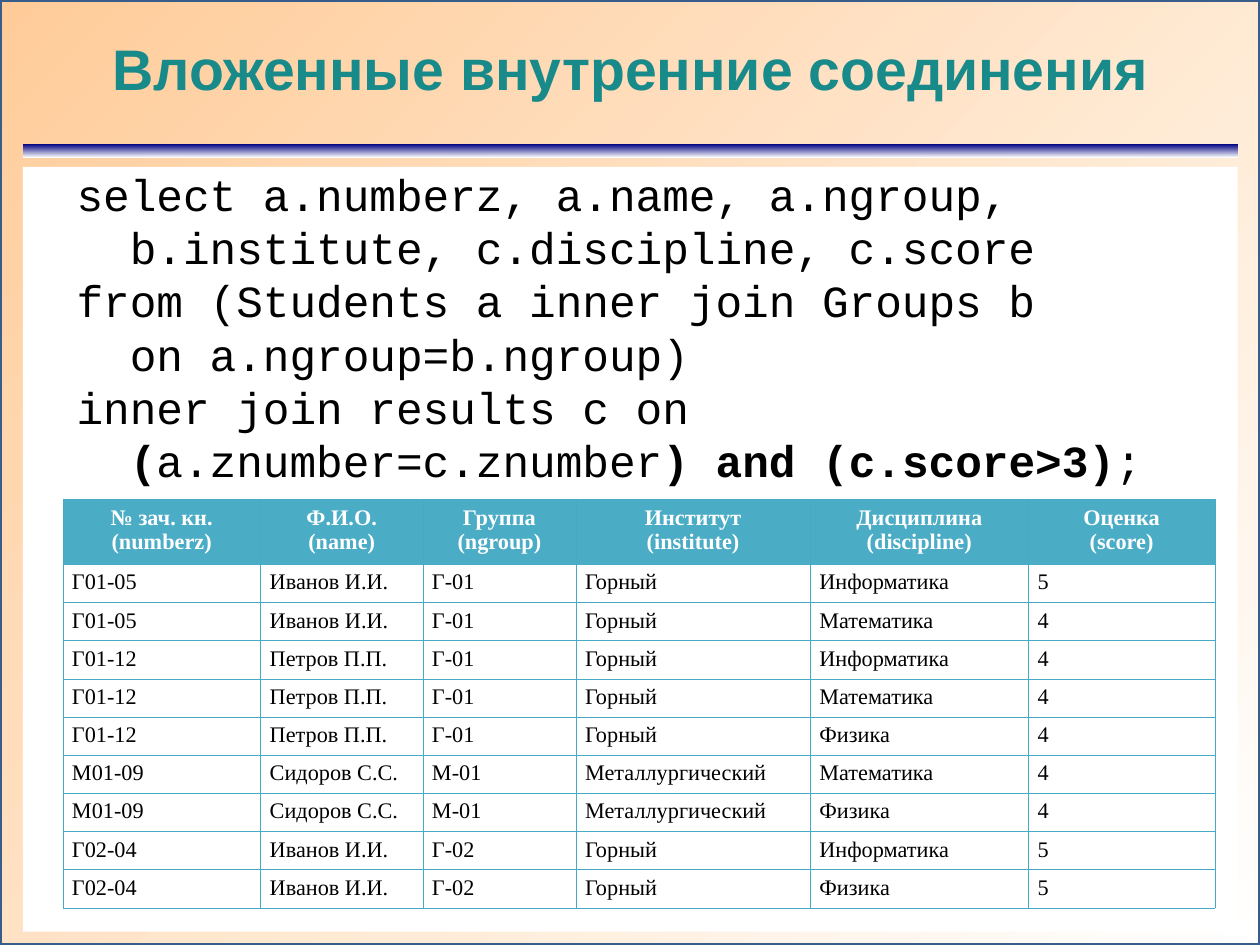
import copy

import pptx
import pptx.dml.color
import pptx.enum.shapes
import pptx.enum.text
import pptx.oxml
import pptx.oxml.ns
import pptx.util

Inches, Pt = pptx.util.Inches, pptx.util.Pt
ALIGN = pptx.enum.text.PP_ALIGN
ANCHOR = pptx.enum.text.MSO_ANCHOR

TITLE = "Вложенные внутренние соединения"
# Each paragraph is a list of (text, bold) pieces.
QUERY = [
    [("select a.numberz, a.name, a.ngroup,\n"
      "  b.institute, c.discipline, c.score\n"
      "from (Students a inner join Groups b\n"
      "  on a.ngroup=b.ngroup)", False)],
    [("inner join results c on\n  ", False), ("(", True),
     ("a.znumber=c.znumber", False), (") and (c.score>3)", True), (";", False)],
]
HEADERS = ["№ зач. кн.\n(numberz)", "Ф.И.О.\n(name)", "Группа\n(ngroup)",
           "Институт\n(institute)", "Дисциплина\n(discipline)", "Оценка\n(score)"]
RESULTS = [
    ("Г01-05", "Иванов И.И.", "Г-01", "Горный", "Информатика", "5"),
    ("Г01-05", "Иванов И.И.", "Г-01", "Горный", "Математика", "4"),
    ("Г01-12", "Петров П.П.", "Г-01", "Горный", "Информатика", "4"),
    ("Г01-12", "Петров П.П.", "Г-01", "Горный", "Математика", "4"),
    ("Г01-12", "Петров П.П.", "Г-01", "Горный", "Физика", "4"),
    ("М01-09", "Сидоров С.С.", "М-01", "Металлургический", "Математика", "4"),
    ("М01-09", "Сидоров С.С.", "М-01", "Металлургический", "Физика", "4"),
    ("Г02-04", "Иванов И.И.", "Г-02", "Горный", "Информатика", "5"),
    ("Г02-04", "Иванов И.И.", "Г-02", "Горный", "Физика", "5"),
]
COLUMN_WIDTHS = [1.73, 1.42, 1.34, 2.05, 1.91, 1.63]
INSTITUTE = 3
# Rows grow to fit their text and cell margins.
HEADER_HEIGHT, ROW_HEIGHT = 0.47, 0.23
SLIDE_WIDTH, SLIDE_HEIGHT = Pt(793.75), Pt(595.25)
MARGIN, INNER_WIDTH = 0.2, 10.63


def rgb(code):
    return pptx.dml.color.RGBColor.from_string(code)


def write(para, text, font="Times New Roman", size=14, color="000000",
          bold=False, align=None):
    """Append text to a paragraph, turning newlines into formatted line breaks."""
    if align is not None:
        para.alignment = align
    for index, line in enumerate(text.split("\n")):
        if index:
            para.add_line_break()
        span = para.add_run()
        span.text = line
        span.font.name, span.font.size, span.font.bold = font, Pt(size), bold
        span.font.color.rgb = rgb(color)
        if index:
            line_break = span._r.getprevious()
            line_break.append(copy.deepcopy(span._r.rPr))


def set_frame(frame, anchor):
    frame.word_wrap = True
    frame.vertical_anchor = anchor
    frame.margin_left = frame.margin_right = 0
    frame.margin_top = frame.margin_bottom = 0


def add_panel(page, left, top, width, height, colors, angle=0, line=None):
    """Add a rectangle with one solid colour or a two-colour gradient."""
    panel = page.shapes.add_shape(
        pptx.enum.shapes.MSO_SHAPE.RECTANGLE, left, top, width, height)
    panel.shadow.inherit = False
    if len(colors) == 1:
        panel.fill.solid()
        panel.fill.fore_color.rgb = rgb(colors[0])
    else:
        panel.fill.gradient()
        panel.fill.gradient_angle = angle
        for stop, color in zip(panel.fill.gradient_stops, colors):
            stop.color.rgb = rgb(color)
    if line:
        panel.line.color.rgb = rgb(line)
        panel.line.width = Pt(2)
    else:
        panel.line.fill.background()
    return panel


def style_cell(cell, fill):
    cell.margin_left = cell.margin_right = Inches(0.08)
    cell.margin_top = cell.margin_bottom = Inches(0.05)
    properties = cell._tc.get_or_add_tcPr()
    for side in ("lnL", "lnR", "lnT", "lnB"):
        properties.append(pptx.oxml.parse_xml(
            f'<a:{side} {pptx.oxml.ns.nsdecls("a")} w="{Pt(0.34)}"><a:solidFill>'
            f'<a:srgbClr val="46AAC5"/></a:solidFill></a:{side}>'))
    cell.fill.solid()
    cell.fill.fore_color.rgb = rgb(fill)


def add_query(page):
    box = add_panel(page, Inches(MARGIN), Inches(1.46), Inches(INNER_WIDTH),
                    Inches(6.69), ["FFFFFF"])
    frame = box.text_frame
    set_frame(frame, ANCHOR.TOP)
    for index, pieces in enumerate(QUERY):
        para = frame.add_paragraph() if index else frame.paragraphs[0]
        para._p.get_or_add_pPr().set("marL", str(Inches(0.47)))
        para.line_spacing = Pt(33.6)
        for text, bold in pieces:
            write(para, text, font="Courier New", size=28, bold=bold, align=ALIGN.LEFT)


def add_results(page):
    height = HEADER_HEIGHT + ROW_HEIGHT * len(RESULTS)
    table = page.shapes.add_table(
        len(RESULTS) + 1, len(HEADERS), Inches(0.55), Inches(4.37),
        Inches(sum(COLUMN_WIDTHS)), Inches(height)).table
    for column, width in zip(table.columns, COLUMN_WIDTHS):
        column.width = Inches(width)
    for row_index, values in enumerate([HEADERS, *RESULTS]):
        header = row_index == 0
        table.rows[row_index].height = Inches(HEADER_HEIGHT if header else ROW_HEIGHT)
        for column_index, value in enumerate(values):
            cell = table.cell(row_index, column_index)
            style_cell(cell, "4BACC6" if header else "FFFFFF")
            body_align = ALIGN.JUSTIFY if column_index == INSTITUTE else ALIGN.LEFT
            write(cell.text_frame.paragraphs[0], value, bold=header,
                  color="FFFFFF" if header else "000000",
                  align=ALIGN.CENTER if header else body_align)


def main():
    deck = pptx.Presentation()
    deck.slide_width, deck.slide_height = SLIDE_WIDTH, SLIDE_HEIGHT
    page = deck.slides.add_slide(deck.slide_layouts[6])
    add_panel(page, 0, 0, SLIDE_WIDTH, SLIDE_HEIGHT, ["FFFFFF", "FFCC99"],
              angle=135, line="385D8A")
    add_panel(page, Inches(MARGIN), Inches(1.26), Inches(INNER_WIDTH), Inches(0.12),
              ["000080", "FFFFFF"], angle=270)
    title = page.shapes.add_textbox(
        Inches(MARGIN), Inches(0.2), Inches(INNER_WIDTH), Inches(0.79))
    set_frame(title.text_frame, ANCHOR.MIDDLE)
    write(title.text_frame.paragraphs[0], TITLE, font="Arial", size=36,
          color="198A8A", bold=True, align=ALIGN.CENTER)
    add_query(page)
    add_results(page)
    deck.save("out.pptx")


if __name__ == "__main__":
    main()
